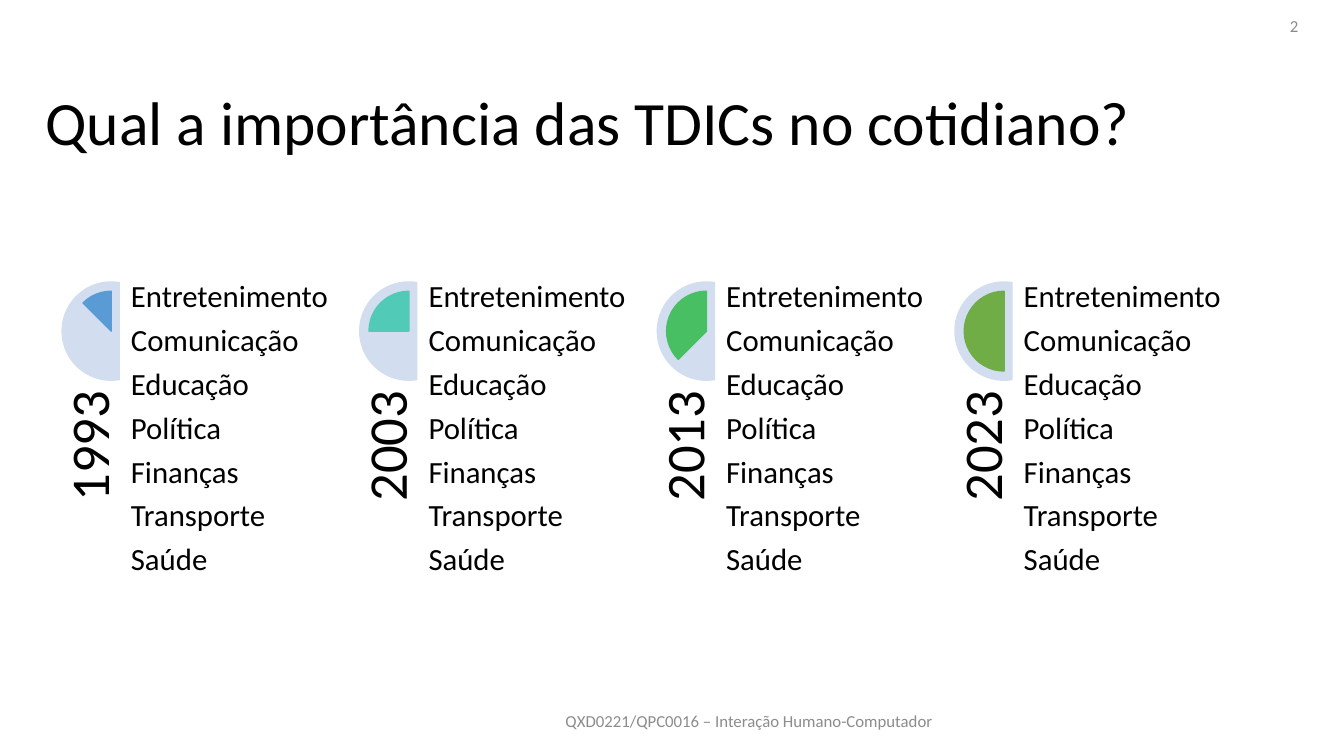
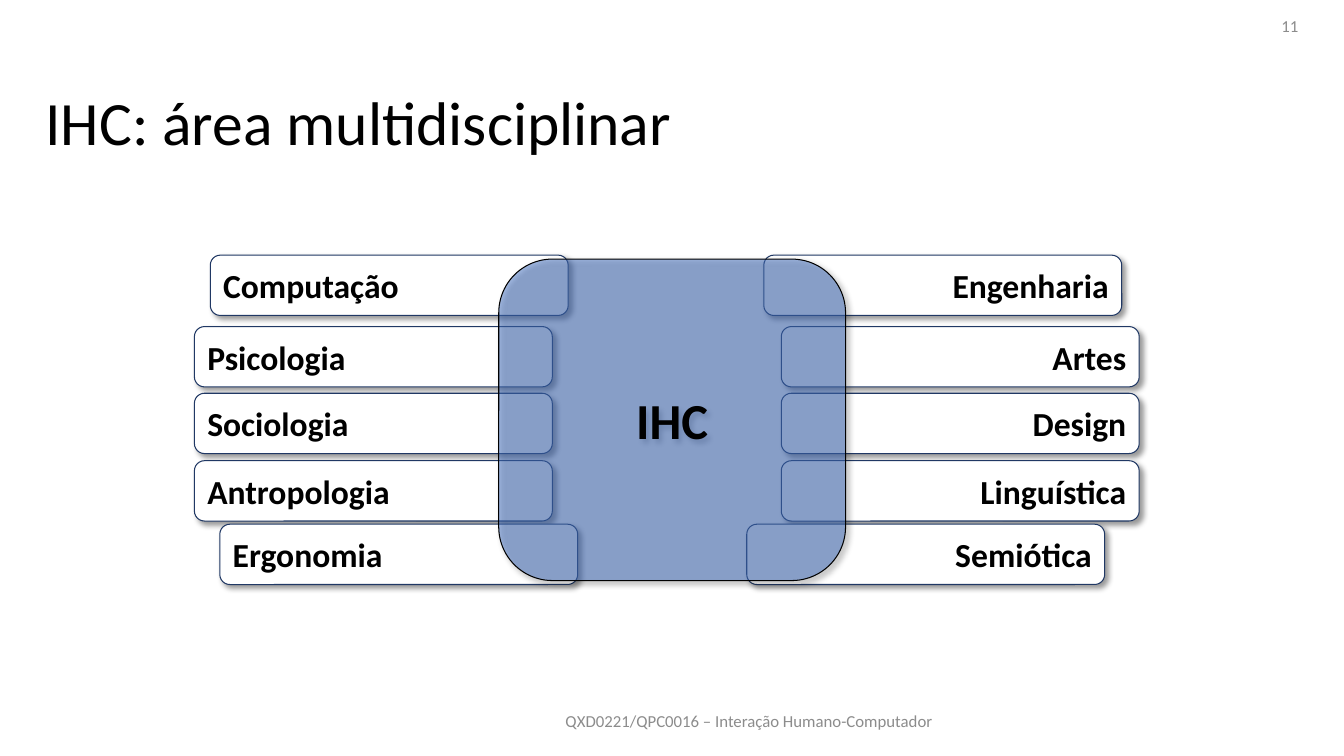
"""Build two slides on digital technologies and the fields that form IHC."""
from lxml import etree
from pptx import Presentation
from pptx import util as u
from pptx.dml import color
from pptx.enum import shapes, text
from pptx.oxml import ns

FONT = "Calibri"
BLACK, GRAY, WHITE = "000000", "8C8C8C", "FFFFFF"
PALE, NAVY, BLUE = "D2DEEF", "203864", "4472C4"
LEFT, CENTER, RIGHT = text.PP_ALIGN.LEFT, text.PP_ALIGN.CENTER, text.PP_ALIGN.RIGHT
TOP, MIDDLE, BOTTOM = text.MSO_ANCHOR.TOP, text.MSO_ANCHOR.MIDDLE, text.MSO_ANCHOR.BOTTOM

FOOTER = "QXD0221/QPC0016 – Interação Humano-Computador"
IMPACT_TITLE = "Qual a importância das TDICs no cotidiano?"
FIELDS_TITLE = "IHC: área multidisciplinar"

YEARS = [("1993", "5B9BD5"), ("2003", "52CAB8"), ("2013", "49BF64"), ("2023", "70AD47")]
AREAS = ["Entretenimento", "Comunicação", "Educação", "Política",
         "Finanças", "Transporte", "Saúde"]

FIELD_ROWS = [
    (6.43, ("Computação", 5.3), ("Engenharia", 19.25)),
    (8.23, ("Psicologia", 4.9), ("Artes", 19.69)),
    (9.91, ("Sociologia", 4.9), ("Design", 19.69)),
    (11.61, ("Antropologia", 4.9), ("Linguística", 19.69)),
    (13.21, ("Ergonomia", 5.54), ("Semiótica", 18.82)),
]


def rgb(value):
    return color.RGBColor.from_string(value)


def place(*lengths):
    return [u.Cm(length) for length in lengths]


def write(box, lines, size, tint=BLACK, align=LEFT, anchor=MIDDLE, bold=False,
          margin=None, spacing=None, after=None):
    frame = box.text_frame
    frame.text = "\n".join(lines)
    frame.word_wrap = True
    frame.auto_size = text.MSO_AUTO_SIZE.NONE
    frame.vertical_anchor = anchor
    if margin is not None:
        frame.margin_left = frame.margin_right = u.Cm(margin)
        frame.margin_top = frame.margin_bottom = u.Cm(margin)
    for para in frame.paragraphs:
        para.alignment = align
        para.line_spacing = spacing
        para.space_after = after
        for span in para.runs:
            span.font.name, span.font.size = FONT, u.Pt(size)
            span.font.bold = bold
            span.font.color.rgb = rgb(tint)


def add_text(page, area, lines, size, **style):
    box = page.shapes.add_textbox(*place(*area))
    write(box, lines, size, **style)
    return box


def add_figure(page, kind, area, fill, line=None, width=1.0, adjust=()):
    figure = page.shapes.add_shape(kind, *place(*area))
    for index, value in enumerate(adjust):
        figure.adjustments[index] = value
    figure.fill.solid()
    figure.fill.fore_color.rgb = rgb(fill)
    if line:
        figure.line.color.rgb = rgb(line)
        figure.line.width = u.Pt(width)
    else:
        figure.line.fill.background()
    figure.shadow.inherit = False
    return figure


def add_alpha(tint, percent):
    etree.SubElement(tint, ns.qn("a:alpha"), val=str(percent * 1000))


def cast_shadow(figure):
    effects = figure.element.spPr.find(ns.qn("a:effectLst"))
    shadow = etree.SubElement(effects, ns.qn("a:outerShdw"), blurRad=str(u.Pt(4)),
                              dist=str(u.Pt(3)), dir="2700000", algn="tl", rotWithShape="0")
    add_alpha(etree.SubElement(shadow, ns.qn("a:srgbClr"), val=BLACK), 40)


def add_page(deck, title, number):
    page = deck.slides.add_slide(deck.slide_layouts[5])
    heading = page.shapes.title
    heading.left, heading.top, heading.width, heading.height = place(0.89, 1.65, 32.03, 3.05)
    write(heading, [title], 44, spacing=0.9)
    add_text(page, (8.86, 17.65, 20.04, 1.02), [FOOTER], 12, tint=GRAY, align=CENTER)
    add_text(page, (25.35, 0.13, 7.62, 1.02), [number], 12, tint=GRAY, align=RIGHT)
    return page


def build_impact(deck):
    page = add_page(deck, IMPACT_TITLE, "2")
    top, disc, inset = 7.09, 2.51, 0.25
    for index, (year, tint) in enumerate(YEARS):
        left = 1.55 + 7.5 * index
        add_figure(page, shapes.MSO_SHAPE.CHORD, (left, top, disc, disc), PALE,
                   adjust=(48, 168))
        inner = disc - 2 * inset
        add_figure(page, shapes.MSO_SHAPE.PIE, (left + inset, top + inset, inner, inner),
                   tint, tint, adjust=(135 - 27 * index, 162))
        label = add_text(page, (left - 2.92, 12.75, 7.32, 1.52), [year], 39, align=RIGHT,
                         anchor=BOTTOM, margin=0, spacing=0.9)
        label.rotation = 270
        add_text(page, (left + 1.75, top, 5.03, 10.08), AREAS, 22, anchor=TOP,
                 margin=0, spacing=0.9, after=u.Pt(7.5))


def build_fields(deck):
    page = add_page(deck, FIELDS_TITLE, "11")
    for top, *pair in FIELD_ROWS:
        for (name, left), align in zip(pair, (LEFT, RIGHT)):
            bar = add_figure(page, shapes.MSO_SHAPE.FLOWCHART_ALTERNATE_PROCESS,
                             (left, top, 9.02, 1.52), WHITE, NAVY, 0.75)
            cast_shadow(bar)
            write(bar, [name], 24, align=align, bold=True)
    core = add_figure(page, shapes.MSO_SHAPE.ROUNDED_RECTANGLE, (12.57, 6.53, 8.74, 8.1),
                      BLUE, BLACK, 0.75, adjust=(0.167,))
    add_alpha(core.element.spPr.find(ns.qn("a:solidFill"))[0], 50)
    cast_shadow(core)
    write(core, ["IHC"], 36, align=CENTER, bold=True, margin=0.05)


def main():
    deck = Presentation()
    deck.slide_width, deck.slide_height = place(33.87, 19.05)
    build_impact(deck)
    build_fields(deck)
    deck.save("out.pptx")


if __name__ == "__main__":
    main()
